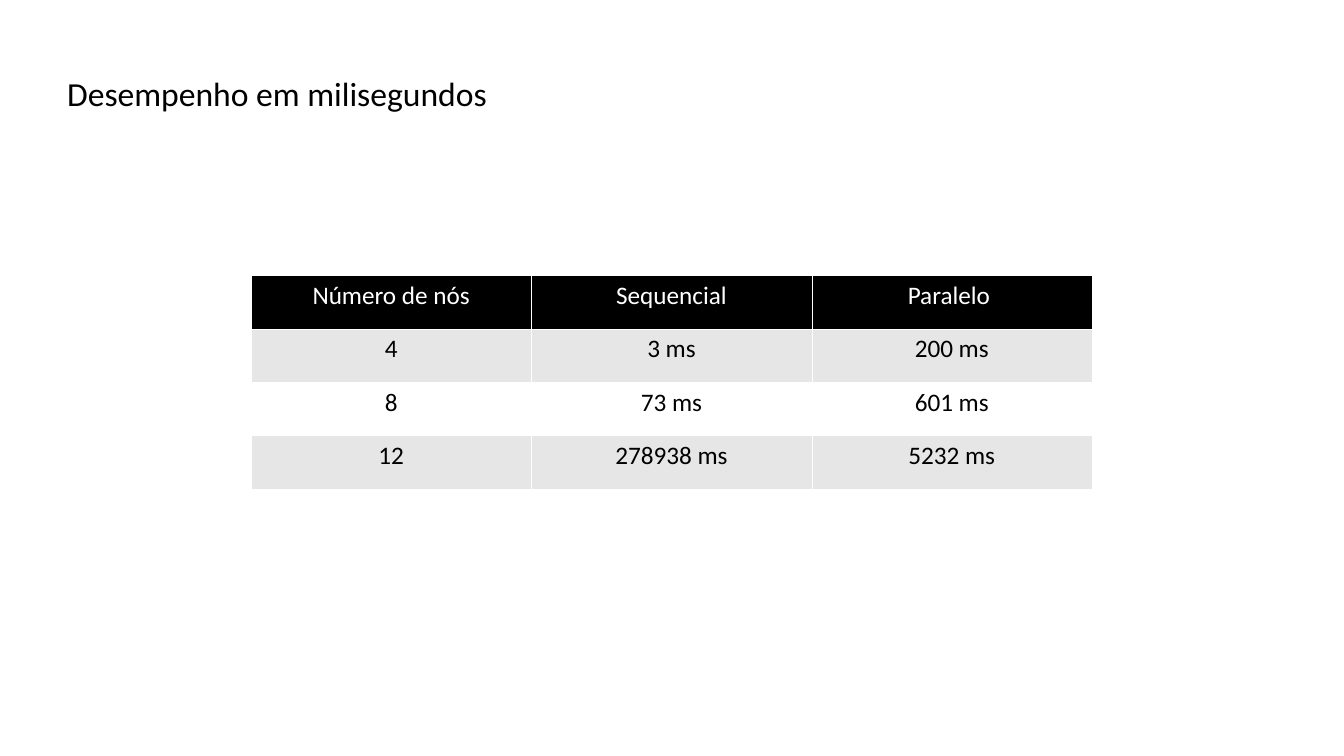
"""Build the slide that compares sequential and parallel run times."""
import lxml.etree
import pptx
import pptx.dml.color
import pptx.enum.text
import pptx.oxml.ns
import pptx.util

COLORS = {"ink": "000000", "paper": "FFFFFF", "band": "E6E6E6"}
RESULTS = [
    ["Número de nós", "Sequencial", "Paralelo "],
    ["4", "3 ms", "200 ms"],
    ["8", "73 ms", "601 ms"],
    ["12", "278938 ms", "5232 ms"],
]
COLUMN_WIDTH = pptx.util.Inches(2.78)
ROW_HEIGHT = pptx.util.Inches(0.53)
BORDER_WIDTH = pptx.util.Pt(0.06)


def style_text(para, size, color):
    for span in para.runs:
        span.font.name = "Calibri"
        span.font.size = pptx.util.Pt(size)
        span.font.bold = False
        span.font.color.rgb = pptx.dml.color.RGBColor.from_string(COLORS[color])


def add_borders(cell, color):
    properties = cell._tc.get_or_add_tcPr()
    for side in ("a:lnL", "a:lnR", "a:lnT", "a:lnB"):
        line = lxml.etree.SubElement(properties, pptx.oxml.ns.qn(side), w=str(BORDER_WIDTH))
        fill = lxml.etree.SubElement(line, pptx.oxml.ns.qn("a:solidFill"))
        lxml.etree.SubElement(fill, pptx.oxml.ns.qn("a:srgbClr"), val=COLORS[color])


deck = pptx.Presentation()
deck.slide_width = pptx.util.Inches(13.33)
deck.slide_height = pptx.util.Inches(7.5)
page = deck.slides.add_slide(deck.slide_layouts[6])

margin = int(deck.slide_width * 0.05)
title = page.shapes.add_textbox(
    margin, int(deck.slide_height * 0.04),
    deck.slide_width - 2 * margin, int(deck.slide_height / 6),
)
frame = title.text_frame
frame.word_wrap = True
frame.margin_left = frame.margin_right = frame.margin_top = frame.margin_bottom = 0
frame.vertical_anchor = pptx.enum.text.MSO_ANCHOR.MIDDLE
frame.text = "Desempenho em milisegundos"
style_text(frame.paragraphs[0], 24, "ink")

row_count, column_count = len(RESULTS), len(RESULTS[0])
table = page.shapes.add_table(
    row_count, column_count, pptx.util.Inches(2.49), pptx.util.Inches(2.73),
    column_count * COLUMN_WIDTH, row_count * ROW_HEIGHT,
).table
table.first_row = False
table.horz_banding = False

for row, values in enumerate(RESULTS):
    if row == 0:
        fill_color, text_color = "ink", "paper"
    else:
        fill_color, text_color = ("band" if row % 2 else "paper"), "ink"
    for column, value in enumerate(values):
        cell = table.cell(row, column)
        add_borders(cell, "paper")
        cell.fill.solid()
        cell.fill.fore_color.rgb = pptx.dml.color.RGBColor.from_string(COLORS[fill_color])
        cell.text_frame.text = value
        para = cell.text_frame.paragraphs[0]
        para.alignment = pptx.enum.text.PP_ALIGN.CENTER
        style_text(para, 18, text_color)

deck.save("out.pptx")
